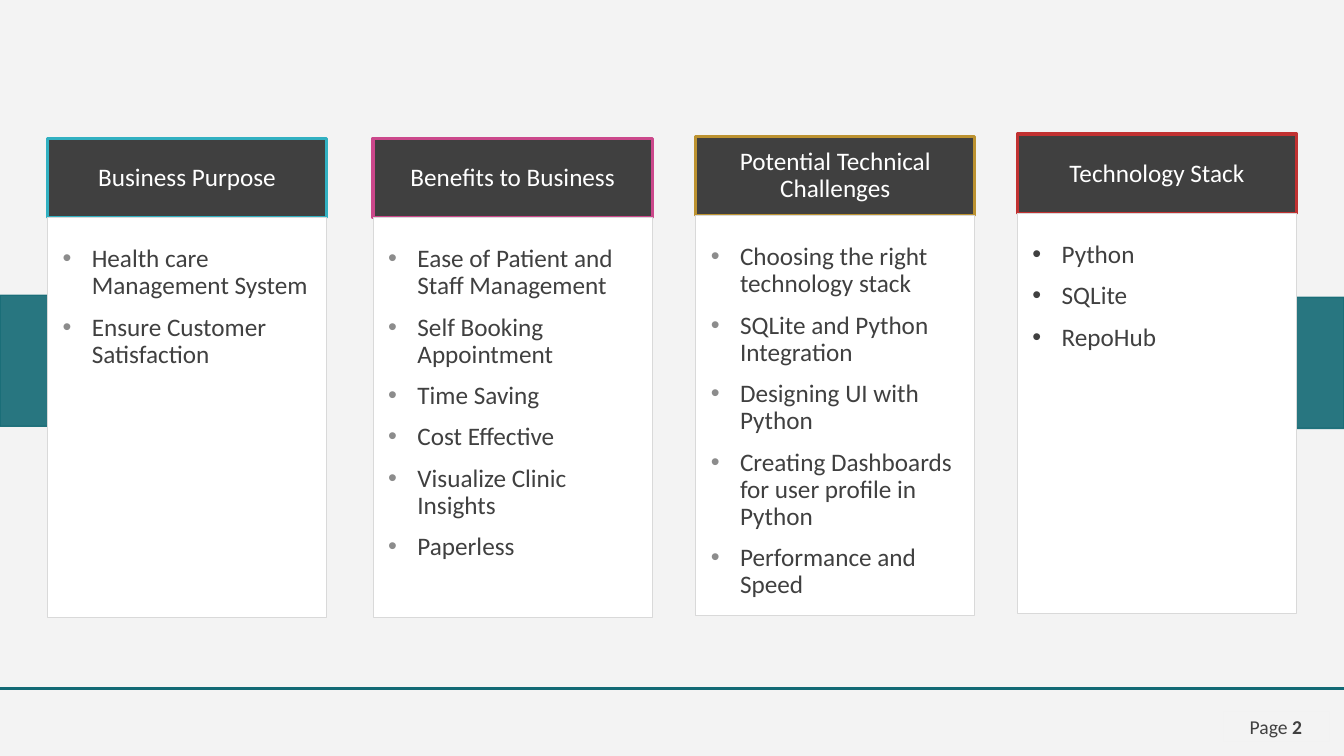
from lxml import etree
from pptx import Presentation
from pptx.dml.color import RGBColor
from pptx.enum.shapes import MSO_CONNECTOR, MSO_SHAPE
from pptx.enum.text import MSO_ANCHOR, MSO_AUTO_SIZE, PP_ALIGN
from pptx.oxml.ns import qn
from pptx.util import Inches, Pt

RECT, STRAIGHT = MSO_SHAPE.RECTANGLE, MSO_CONNECTOR.STRAIGHT
TOP, MIDDLE = MSO_ANCHOR.TOP, MSO_ANCHOR.MIDDLE
LEFT, CENTER = PP_ALIGN.LEFT, PP_ALIGN.CENTER

# Content: heading, accent, bullet colour, left, top, points
CARDS = [
    ("Business Purpose", "31B0C1", "8C8C8C", 0.47, 1.37,
     ["Health care Management System", "Ensure Customer Satisfaction"]),
    ("Benefits to Business", "CB488B", "8C8C8C", 3.7, 1.37,
     ["Ease of Patient and Staff Management", "Self Booking Appointment",
      "Time Saving", "Cost Effective", "Visualize Clinic Insights", "Paperless"]),
    ("Potential Technical Challenges", "BC9230", "8C8C8C", 6.9, 1.35,
     ["Choosing the right technology stack", "SQLite and Python Integration",
      "Designing UI with Python", "Creating Dashboards for user profile in Python",
      "Performance and Speed"]),
    ("Technology Stack", "C13131", "404040", 10.09, 1.33,
     ["Python", "SQLite", "RepoHub"]),
]
PAGE_LABEL, PAGE_NUMBER = "Page ", "2"


class Theme:
    font = "Calibri"
    text_size, page_size = 18, 14
    background, page_border = "F3F3F3", "F2F2F2"
    teal, dark, white, card_border = "126974", "404040", "FFFFFF", "D9D9D9"


SLIDE_W, SLIDE_H = 13.33, 7.5
CARD_W, HEADING_H, LIST_H = 2.77, 0.79, 3.97
BAND_W, BAND_H = 2.49, 1.3
INDENT = 0.29


def rgb(value):
    return RGBColor.from_string(value)


def paint(box, fill, border, width):
    if fill:
        box.fill.solid()
        box.fill.fore_color.rgb = rgb(fill)
    else:
        box.fill.background()
    box.line.color.rgb = rgb(border)
    box.line.width = Pt(width)


def add_alpha(color_parent, percent):
    for color in color_parent.iter(qn("a:srgbClr")):
        etree.SubElement(color, qn("a:alpha"), val=str(percent * 1000))


def add_rect(left, top, width, height):
    box = slide.shapes.add_shape(RECT, Inches(left), Inches(top),
                                 Inches(width), Inches(height))
    box.shadow.inherit = False
    return box


def set_frame(box, anchor, insets):
    frame = box.text_frame
    frame.word_wrap = True
    frame.auto_size = MSO_AUTO_SIZE.NONE
    frame.vertical_anchor = anchor
    (frame.margin_left, frame.margin_top,
     frame.margin_right, frame.margin_bottom) = map(Inches, insets)
    return frame


def set_font(paragraph, size, color):
    font = paragraph.font
    font.name, font.size, font.bold = Theme.font, Pt(size), False
    font.color.rgb = rgb(color)


def add_bullet(paragraph, color):
    props = paragraph._p.get_or_add_pPr()
    props.set("marL", str(Inches(INDENT)))
    props.set("indent", str(-Inches(INDENT)))
    bullet_color = etree.SubElement(props, qn("a:buClr"))
    etree.SubElement(bullet_color, qn("a:srgbClr"), val=color)
    etree.SubElement(props, qn("a:buFont"), typeface="Arial")
    etree.SubElement(props, qn("a:buChar"), char="•")


def write_lines(frame, lines, align, color, bullet=None):
    for number, line in enumerate(lines):
        paragraph = frame.add_paragraph() if number else frame.paragraphs[0]
        paragraph.text = line
        paragraph.alignment = align
        paragraph.line_spacing = 0.9
        paragraph.space_before = Pt(10)
        if bullet:
            add_bullet(paragraph, bullet)
        set_font(paragraph, Theme.text_size, color)


prs = Presentation()
prs.slide_width, prs.slide_height = Inches(SLIDE_W), Inches(SLIDE_H)
slide = prs.slides.add_slide(prs.slide_layouts.get_by_name("Comparison"))
slide.background.fill.solid()
slide.background.fill.fore_color.rgb = rgb(Theme.background)

# The slide shows no title
title = slide.shapes.title
title.element.getparent().remove(title.element)

# Cards: the layout's text and list pairs first, then plain boxes
free_boxes = list(slide.placeholders)


def card_box(left, top, height):
    if not free_boxes:
        return add_rect(left, top, CARD_W, height)
    box = free_boxes.pop(0)
    box.left, box.top = Inches(left), Inches(top)
    box.width, box.height = Inches(CARD_W), Inches(height)
    return box


for heading, accent, bullet, left, top, points in CARDS:
    heading_box = card_box(left, top, HEADING_H)
    paint(heading_box, Theme.dark, accent, 2.25)
    frame = set_frame(heading_box, MIDDLE, (0.12, 0.04, 0.12, 0.04))
    write_lines(frame, [heading], CENTER, Theme.white)

    list_box = card_box(left, top + HEADING_H, LIST_H)
    paint(list_box, Theme.white, Theme.card_border, 0.75)
    frame = set_frame(list_box, TOP, (0.15, 0.28, 0.15, 0))
    write_lines(frame, points, LEFT, Theme.dark, bullet)

# Side bands, sent behind the cards
for left, top in [(0, 2.93), (SLIDE_W - BAND_W, 2.95)]:
    band = add_rect(left, top, BAND_W, BAND_H)
    paint(band, Theme.teal, Theme.teal, 1)
    add_alpha(band.element.spPr, 90)
    slide.shapes.element.insert(2, band.element)

# Footer rule and page number
rule = slide.shapes.add_connector(STRAIGHT, 0, Inches(6.83),
                                  Inches(SLIDE_W), Inches(6.83))
rule.line.color.rgb = rgb(Theme.teal)
rule.line.width = Pt(2.75)
etree.SubElement(rule.element.spPr, qn("a:effectLst"))

page_box = add_rect(12.13, 7.06, 1.05, 0.29)
paint(page_box, None, Theme.page_border, 0.25)
page_line = set_frame(page_box, MIDDLE, (0, 0, 0, 0)).paragraphs[0]
page_line.alignment = CENTER
set_font(page_line, Theme.page_size, Theme.dark)
page_line.add_run().text = PAGE_LABEL
page_digit = page_line.add_run()
page_digit.text = PAGE_NUMBER
page_digit.font.bold = True

prs.save("out.pptx")
